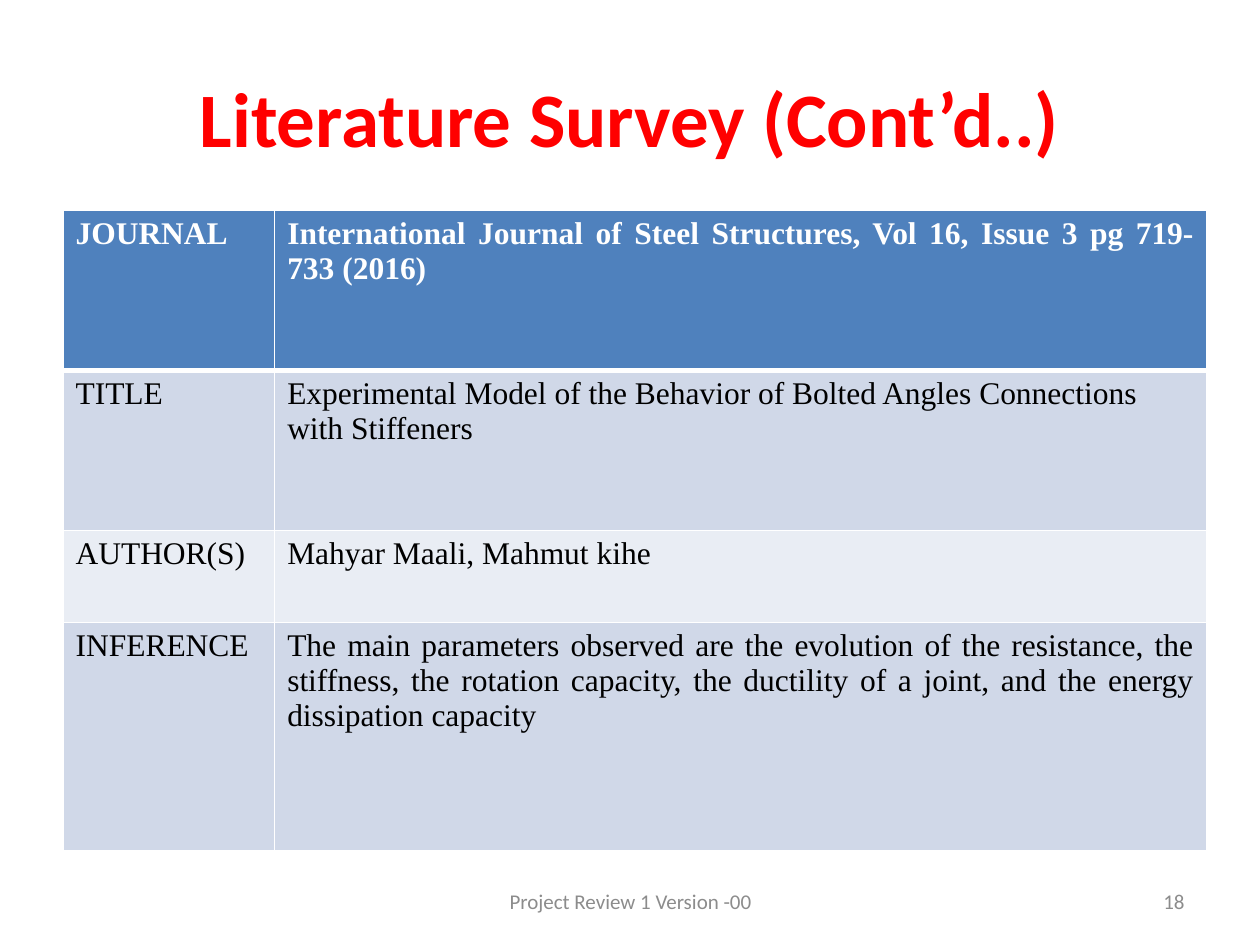
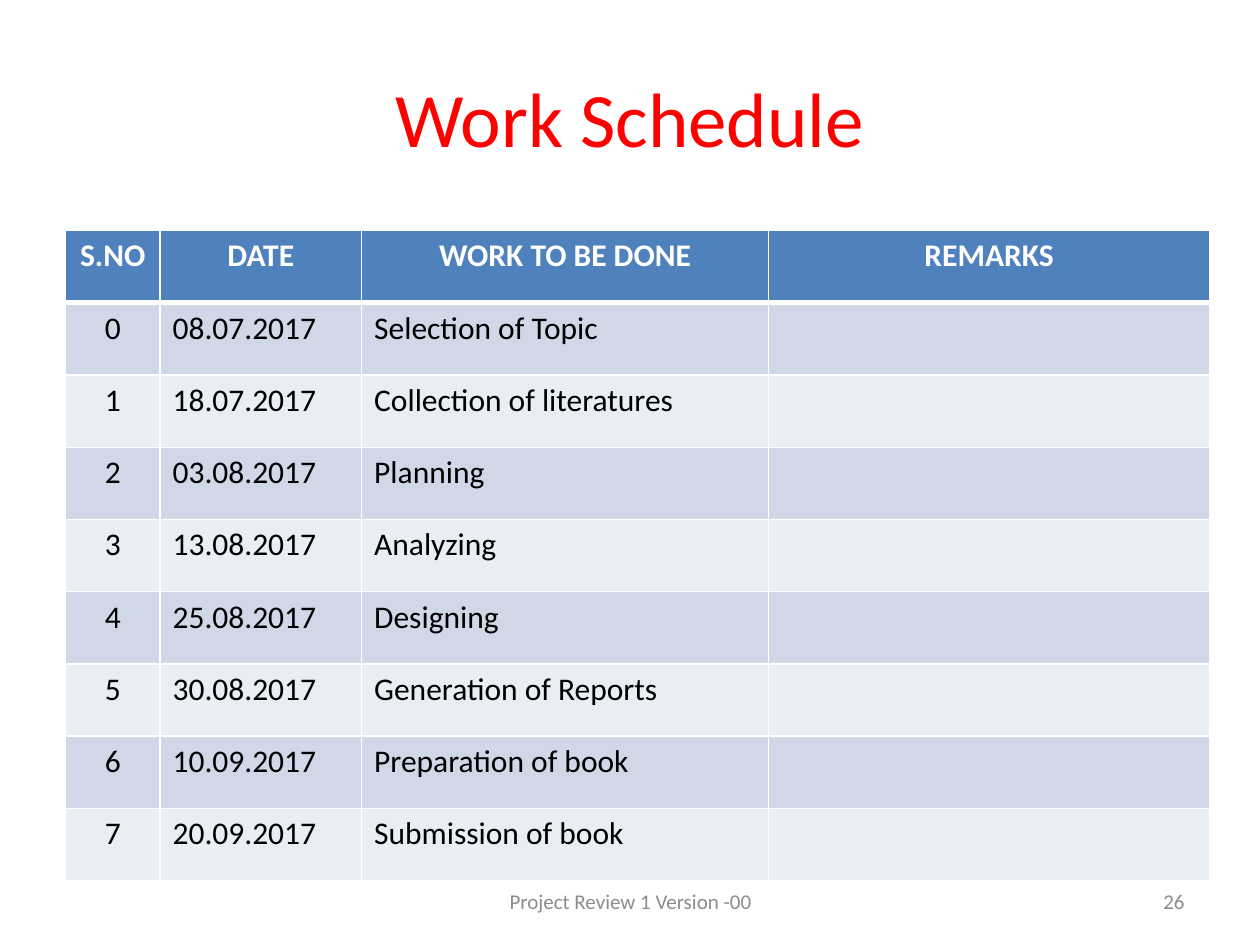
import dataclasses

import pptx
import pptx.dml.color
import pptx.enum.text
import pptx.oxml.ns
import pptx.util
from lxml import etree
from pptx.util import Inches

ALIGN = pptx.enum.text.PP_ALIGN
ANCHOR = pptx.enum.text.MSO_ANCHOR

RED, WHITE, BLACK, GRAY = "FF0000", "FFFFFF", "000000", "8C8C8C"
HEADER_FILL = "4F81BD"
BAND_FILLS = ("D0D8E8", "E9EDF4")
SANS, SERIF = "Calibri", "Times New Roman"
FOOTER = "Project Review 1 Version -00"


@dataclasses.dataclass
class Table:
    left: float
    top: float
    col_widths: list[float]
    row_heights: list[float]
    rows: list[tuple[str, ...]]
    font: str
    aligns: dict[tuple[int, int], ALIGN]


@dataclasses.dataclass
class Page:
    title: str
    title_bold: bool
    number: int
    table: Table


def rgb(color: str) -> pptx.dml.color.RGBColor:
    return pptx.dml.color.RGBColor.from_string(color)


def write(tf, text: str, *, size: float, color: str, font: str = SANS,
          bold: bool = False, align: ALIGN = ALIGN.LEFT) -> None:
    p = tf.paragraphs[0]
    p.alignment = align
    r = p.add_run()
    r.text = text
    r.font.size = pptx.util.Pt(size)
    r.font.name = font
    r.font.bold = bold
    r.font.color.rgb = rgb(color)


def add_text(s, text: str, left: float, top: float, width: float, height: float,
             **text_format) -> None:
    sp = s.shapes.add_textbox(Inches(left), Inches(top), Inches(width), Inches(height))
    tf = sp.text_frame
    tf.word_wrap = True
    tf.vertical_anchor = ANCHOR.MIDDLE
    write(tf, text, **text_format)


def set_borders(cell, row: int) -> None:
    """Draw white cell edges, with a heavier rule below the header row."""
    tc_pr = cell._tc.get_or_add_tcPr()
    widths = {"lnL": 1, "lnR": 1, "lnT": 3 if row == 1 else 1, "lnB": 3 if row == 0 else 1}
    for tag, width in widths.items():
        ln = etree.SubElement(tc_pr, pptx.oxml.ns.qn(f"a:{tag}"), w=str(pptx.util.Pt(width)))
        fill = etree.SubElement(ln, pptx.oxml.ns.qn("a:solidFill"))
        etree.SubElement(fill, pptx.oxml.ns.qn("a:srgbClr"), val=WHITE)


def add_table(s, table: Table) -> None:
    frame = s.shapes.add_table(
        len(table.rows), len(table.col_widths), Inches(table.left), Inches(table.top),
        Inches(sum(table.col_widths)), Inches(sum(table.row_heights)))
    grid = frame.table
    for column, width in zip(grid.columns, table.col_widths):
        column.width = Inches(width)
    for row, height in zip(grid.rows, table.row_heights):
        row.height = Inches(height)
    for i, texts in enumerate(table.rows):
        header = i == 0
        for j, text in enumerate(texts):
            cell = grid.cell(i, j)
            set_borders(cell, i)
            cell.fill.solid()
            cell.fill.fore_color.rgb = rgb(HEADER_FILL if header else BAND_FILLS[(i - 1) % 2])
            if text:
                write(cell.text_frame, text, size=18, font=table.font, bold=header,
                      color=WHITE if header else BLACK,
                      align=table.aligns.get((i, j), ALIGN.LEFT))


def add_page(prs, page: Page) -> None:
    s = prs.slides.add_slide(prs.slide_layouts[6])
    add_text(s, page.title, 0.5, 0.3, 9, 1.25, size=44, color=RED,
             bold=page.title_bold, align=ALIGN.CENTER)
    add_table(s, page.table)
    add_text(s, str(page.number), 7.17, 6.95, 2.33, 0.4, size=12, color=GRAY,
             align=ALIGN.RIGHT)
    add_text(s, FOOTER, 3.42, 6.95, 3.17, 0.4, size=12, color=GRAY, align=ALIGN.CENTER)


LITERATURE = Table(
    0.5, 1.67, [1.68, 7.4], [1.27, 1.27, 0.73, 1.81],
    [
        ("JOURNAL", "International Journal of Steel Structures, Vol 16, Issue 3 "
                    "pg 719-733 (2016)"),
        ("TITLE", "Experimental Model of the Behavior of Bolted Angles Connections "
                  "with Stiffeners"),
        ("AUTHOR(S)", "Mahyar Maali, Mahmut kihe"),
        ("INFERENCE", "The main parameters observed are the evolution of the resistance, "
                      "the stiffness, the rotation capacity, the ductility of a joint, "
                      "and the energy dissipation capacity"),
    ],
    SERIF, {(0, 1): ALIGN.JUSTIFY, (3, 1): ALIGN.JUSTIFY})

TASKS = [
    ("08.07.2017", "Selection of Topic"),
    ("18.07.2017", "Collection of literatures"),
    ("03.08.2017", "Planning"),
    ("13.08.2017", "Analyzing"),
    ("25.08.2017", "Designing"),
    ("30.08.2017", "Generation of Reports"),
    ("10.09.2017", "Preparation of book"),
    ("20.09.2017", "Submission of book"),
]
SCHEDULE_HEAD = ("S.NO", "DATE", "WORK TO BE DONE", "REMARKS")
SCHEDULE_ROWS = [SCHEDULE_HEAD] + [
    (str(n), date, work, "") for n, (date, work) in enumerate(TASKS)]
SCHEDULE = Table(
    0.52, 1.83, [0.75, 1.6, 3.23, 3.5], [5.16 / len(SCHEDULE_ROWS)] * len(SCHEDULE_ROWS),
    SCHEDULE_ROWS, SANS,
    {(i, j): ALIGN.CENTER for i in range(len(SCHEDULE_ROWS))
     for j in range(len(SCHEDULE_HEAD)) if i == 0 or j == 0})

PAGES = [
    Page("Literature Survey (Cont’d..)", True, 18, LITERATURE),
    Page("Work Schedule", False, 26, SCHEDULE),
]


def main() -> None:
    prs = pptx.Presentation()
    prs.slide_width, prs.slide_height = Inches(10), Inches(7.5)
    for page in PAGES:
        add_page(prs, page)
    prs.save("out.pptx")


if __name__ == "__main__":
    main()
